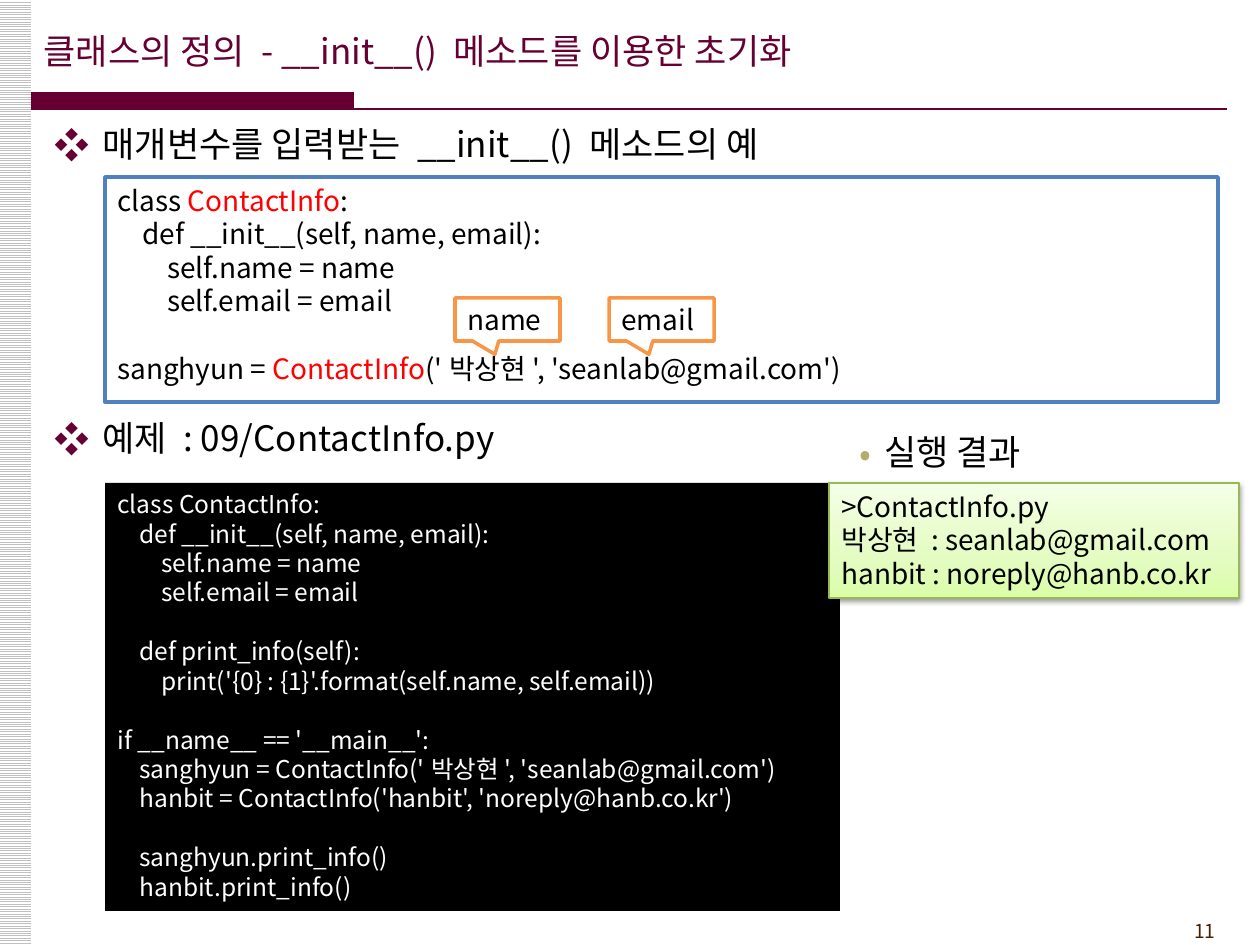
from dataclasses import dataclass

from lxml import etree
from pptx import Presentation
from pptx import util as u
from pptx.dml.color import RGBColor
from pptx.enum import dml, shapes, text
from pptx.oxml import parse_xml
from pptx.oxml.ns import nsdecls, qn
from pptx.text.text import Font


@dataclass(frozen=True)
class Theme:
    font: str = "Noto Sans CJK KR"
    main: str = "660033"
    ink: str = "000000"
    paper: str = "FFFFFF"
    accent: str = "FF0000"
    number: str = "452103"
    stripe: str = "C0C0C0"
    blue: str = "4F81BD"
    orange: str = "F79646"
    green: str = "98B955"
    olive: str = "B1AE6B"
    gradient: tuple = ((0, "DAFDA7"), (35, "E4FCC2"), (100, "F5FFE7"))
    head: int = 20
    code: int = 16
    small: int = 14
    page: int = 11


T = Theme()
PX = 914400 / 126
CLASS = "ContactInfo"

TITLE = "클래스의 정의 - __init__() 메소드를 이용한 초기화"
HEADINGS = ["매개변수를 입력받는 __init__() 메소드의 예", "예제 : 09/ContactInfo.py"]
RESULT_HEADING = "실행 결과"
CLASS_CODE = [
    "class ContactInfo:",
    "    def __init__(self, name, email):",
    "        self.name = name",
    "        self.email = email",
    "",
]
SHORT_CODE = CLASS_CODE + ["sanghyun = ContactInfo('박상현', 'seanlab@gmail.com')"]
FULL_CODE = CLASS_CODE + [
    "    def print_info(self):",
    "        print('{0} : {1}'.format(self.name, self.email))",
    "",
    "if __name__ == '__main__':",
    "    sanghyun = ContactInfo('박상현', 'seanlab@gmail.com')",
    "    hanbit = ContactInfo('hanbit', 'noreply@hanb.co.kr')",
    "",
    "    sanghyun.print_info()",
    "    hanbit.print_info()",
]
RESULT = [">ContactInfo.py", "박상현 : seanlab@gmail.com", "hanbit : noreply@hanb.co.kr"]
CALLOUTS = [("name", 455), ("email", 609)]


def px(*values):
    return [u.Emu(round(v * PX)) for v in values]


def rgb(value):
    return RGBColor.from_string(value)


def style(props, size, color):
    font = Font(props)
    font.size = u.Pt(size)
    font.name = T.font
    font.color.rgb = rgb(color)
    latin = props.find(qn("a:latin"))
    ea = etree.Element(qn("a:ea"), typeface=T.font)
    latin.addnext(ea)


def write(tf, lines, size, color, marked=None):
    tf.word_wrap = True
    tf.auto_size = text.MSO_AUTO_SIZE.NONE
    for i, line in enumerate(lines):
        p = tf.paragraphs[0] if i == 0 else tf.add_paragraph()
        p.alignment = text.PP_ALIGN.LEFT
        if not line:
            style(p._p.get_or_add_endParaRPr(), size, color)
        for part in line.partition(marked) if marked else [line]:
            if part:
                r = p.add_run()
                r.text = part
                style(r._r.get_or_add_rPr(), size, T.accent if part == marked else color)


def bullet(p, char, color, margin, indent):
    pPr = p._p.get_or_add_pPr()
    pPr.set("marL", str(px(margin)[0]))
    pPr.set("indent", str(px(indent)[0]))
    clr = etree.SubElement(pPr, qn("a:buClr"))
    etree.SubElement(clr, qn("a:srgbClr"), val=color)
    etree.SubElement(pPr, qn("a:buFont"), typeface=T.font)
    etree.SubElement(pPr, qn("a:buChar"), char=char)


def box(s, at, fill=None, line=None, width=2, kind=shapes.MSO_SHAPE.RECTANGLE):
    sp = s.shapes.add_shape(kind, *px(*at))
    sp.shadow.inherit = False
    if fill:
        sp.fill.solid()
        sp.fill.fore_color.rgb = rgb(fill)
    if line:
        sp.line.color.rgb = rgb(line)
        sp.line.width = u.Pt(width)
    else:
        sp.line.fill.background()
    sp.text_frame.vertical_anchor = text.MSO_ANCHOR.TOP
    return sp


def place(sp, at):
    sp.left, sp.top, sp.width, sp.height = px(*at)


def add_frame(s):
    side = box(s, (-1, 0, 32, 945))
    side.fill.patterned()
    side.fill.pattern = dml.MSO_PATTERN.LIGHT_HORIZONTAL
    side.fill.fore_color.rgb = rgb(T.stripe)
    side.fill.back_color.rgb = rgb(T.paper)
    box(s, (31, 92, 323, 17), T.main)
    rule = s.shapes.add_connector(shapes.MSO_CONNECTOR.STRAIGHT, *px(31, 109, 1227, 109))
    rule.line.color.rgb = rgb(T.main)
    rule.line.width = u.Pt(1.5)
    etree.SubElement(rule._element.spPr, qn("a:effectLst"))
    number = s.shapes.add_textbox(*px(1124, 913, 104, 37))
    write(number.text_frame, ["11"], T.page, T.number)
    number.text_frame.paragraphs[0].alignment = text.PP_ALIGN.RIGHT


def add_headings(s):
    title, body = s.placeholders
    place(title, (31, 11, 1042, 79))
    write(title.text_frame, [TITLE], T.head, T.main)
    title.text_frame.vertical_anchor = text.MSO_ANCHOR.MIDDLE
    place(body, (42, 116, 1197, 788))
    write(body.text_frame, HEADINGS, T.head, T.ink)
    for p, gap in zip(body.text_frame.paragraphs, (0, 144)):
        bullet(p, "❖", T.main, 48, -48)
        p.space_before = u.Pt(gap)


def add_result(s):
    sp = box(s, (829, 483, 410, 115), T.paper, T.green, 0.75)
    write(sp.text_frame, RESULT, T.code, T.ink)
    stops = "".join(
        f'<a:gs pos="{pos * 1000}"><a:srgbClr val="{color}"/></a:gs>' for pos, color in T.gradient
    )
    spPr = sp._element.spPr
    spPr.replace(spPr.find(qn("a:solidFill")), parse_xml(
        f'<a:gradFill {nsdecls("a")} rotWithShape="1"><a:gsLst>{stops}</a:gsLst>'
        '<a:lin ang="16200000" scaled="1"/></a:gradFill>'
    ))
    spPr.find(qn("a:effectLst")).append(parse_xml(
        f'<a:outerShdw {nsdecls("a")} blurRad="{u.Pt(3.1)}" dist="{u.Pt(1.6)}" dir="5400000">'
        f'<a:srgbClr val="{T.ink}"><a:alpha val="38000"/></a:srgbClr></a:outerShdw>'
    ))
    label = s.shapes.add_textbox(*px(798, 420, 305, 63))
    write(label.text_frame, [RESULT_HEADING], T.head, T.ink)
    p = label.text_frame.paragraphs[0]
    bullet(p, "•", T.olive, 74, -25)
    p.line_spacing = 1.1
    p.space_after = u.Pt(3)


def main():
    prs = Presentation()
    prs.slide_width, prs.slide_height = px(1260, 945)
    s = prs.slides.add_slide(prs.slide_layouts[1])
    add_frame(s)
    add_headings(s)
    full = box(s, (105, 483, 735, 428), T.ink)
    write(full.text_frame, FULL_CODE, T.small, T.paper)
    add_result(s)
    short = box(s, (105, 177, 1113, 225), T.paper, T.blue)
    write(short.text_frame, SHORT_CODE, T.code, T.ink, CLASS)
    for name, left in CALLOUTS:
        sp = box(s, (left, 298, 105, 43), T.paper, T.orange,
                 kind=shapes.MSO_SHAPE.RECTANGULAR_CALLOUT)
        sp.adjustments[0], sp.adjustments[1] = -0.12, 0.81
        write(sp.text_frame, [name], T.code, T.ink)
        sp.text_frame.vertical_anchor = text.MSO_ANCHOR.MIDDLE
    prs.save("out.pptx")


if __name__ == "__main__":
    main()
